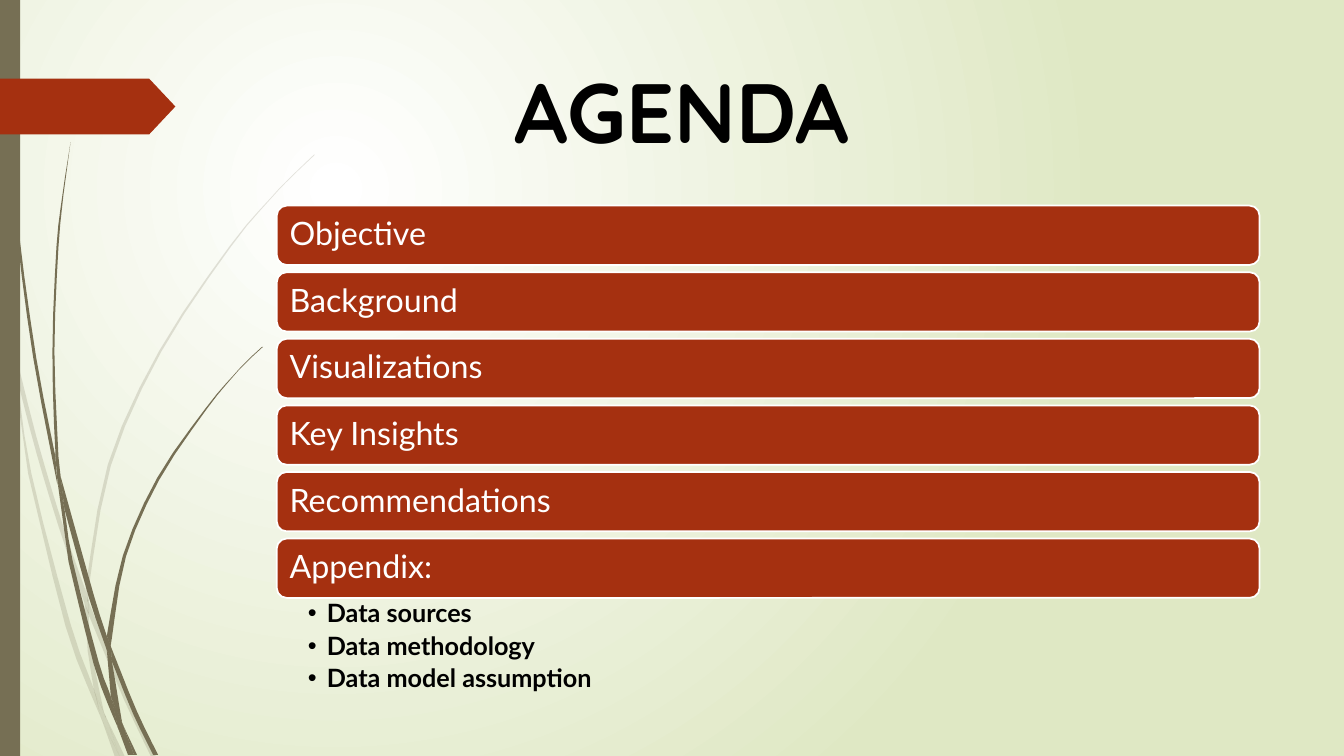
import pptx
import pptx.dml.color
import pptx.enum.shapes
import pptx.enum.text
import pptx.oxml
import pptx.oxml.ns
import pptx.util

Pt = pptx.util.Pt
SHAPES = pptx.enum.shapes.MSO_SHAPE
ANCHORS = pptx.enum.text.MSO_ANCHOR
ALIGNMENTS = pptx.enum.text.PP_ALIGN
NAMESPACE = pptx.oxml.ns.nsdecls("a")

COLORS = {
    "olive": "766F54",
    "rust": "A53010",
    "white": "FFFFFF",
    "black": "000000",
    "pale green": "DFE8C4",
}
AGENDA = ["Objective", "Background", "Visualizations", "Key Insights",
          "Recommendations", "Appendix:"]
APPENDIX = ["Data sources", "Data methodology", "Data model assumption"]

# Grass blades: the two sides of each piece, in steps of 0.72 points
GRASS_UNIT = 0.72
FAINT_GRASS = [
    ([(11, 350), (9, 322), (0, 282)], [(0, 299), (10, 344)]),
    ([(17, 376), (36, 449), (58, 522), (84, 599)],
     [(85, 586), (62, 520), (36, 433), (14, 345)]),
    ([(88, 596), (92, 607), (127, 692), (155, 751)],
     [(150, 751), (123, 694), (88, 610)]),
    ([(105, 711), (124, 751)], [(119, 751)]),
    ([(11, 350), (17, 376), (31, 469), (70, 619), (93, 683), (99, 707), (101, 714)],
     [(92, 693), (65, 621), (28, 470)]),
    ([(84, 599), (88, 608), (88, 610), (91, 646), (103, 706), (105, 711)],
     [(96, 692), (93, 683), (87, 646)]),
    ([(312, 153), (289, 175), (268, 197), (228, 244), (158, 348), (107, 461), (85, 584)],
     [(88, 596), (88, 584), (110, 462), (160, 349), (229, 245), (268, 198),
      (290, 175), (312, 154)]),
    ([(101, 714), (119, 751)], [(114, 751)]),
    ([(85, 586), (88, 596), (88, 610)], [(84, 599)]),
    ([(93, 683), (96, 692), (105, 711), (119, 751)], [(101, 714), (99, 707)]),
]
DARK_GRASS = [
    ([(3, 0), (4, 48), (7, 110), (17, 233), (33, 355), (57, 481)],
     [(55, 453), (36, 355), (19, 232), (8, 109), (5, 48), (4, 0)]),
    ([(60, 472), (93, 590), (106, 631)], [(106, 645), (88, 592), (64, 505)]),
    ([(110, 641), (113, 649), (136, 706), (157, 749)],
     [(152, 749), (132, 708), (111, 656)]),
    ([(57, 477), (64, 505), (72, 556), (98, 657), (110, 691), (117, 722)],
     [(111, 708), (93, 659), (68, 557)]),
    ([(70, 141), (62, 193), (56, 245), (52, 349), (55, 449), (60, 472)],
     [(58, 453), (54, 349), (58, 245), (63, 193)]),
    ([(122, 719), (136, 749)], [(133, 749)]),
    ([(55, 449), (60, 472), (64, 505)], [(57, 477), (55, 453)]),
    ([(260, 344), (245, 358), (231, 373), (204, 405), (156, 474), (122, 551), (106, 631)],
     [(110, 641), (111, 633), (125, 552), (158, 476), (205, 406), (231, 374),
      (245, 359), (261, 344)]),
    ([(117, 722), (131, 749)], [(127, 749)]),
    ([(106, 645), (109, 651), (111, 656), (121, 716), (122, 719)],
     [(116, 706), (110, 691)]),
    ([(106, 631), (110, 641), (111, 656)], [(106, 645)]),
    ([(110, 691), (122, 719), (133, 749)], [(130, 749), (117, 722)]),
]
BAR_LEFT, BAR_TOP, BAR_WIDTH, BAR_HEIGHT, BAR_PITCH = 197.7, 146.9, 702, 42.4, 47.56


def color(name):
    return pptx.dml.color.RGBColor.from_string(COLORS[name])


def paint_background(slide):
    """Fill the slide with a circular gradient centred in its upper left."""
    fill = slide.background.fill
    fill.gradient()
    for stop, name, position in zip(fill.gradient_stops, ("white", "pale green"), (0, 1)):
        stop.color.rgb = color(name)
        stop.position = position
    gradient = slide.element.xpath(".//p:bg//a:gradFill")[0]
    for linear in gradient.xpath("a:lin"):
        gradient.remove(linear)
    gradient.append(pptx.oxml.parse_xml(
        f'<a:path {NAMESPACE} path="circle">'
        '<a:fillToRect l="50000" t="50000" r="100000" b="100000"/></a:path>'))


def style_shape(shape, fill_name, line_name=None):
    shape.shadow.inherit = False
    shape.fill.solid()
    shape.fill.fore_color.rgb = color(fill_name)
    if line_name:
        shape.line.color.rgb = color(line_name)
        shape.line.width = Pt(1.25)
    else:
        shape.line.fill.background()


def add_block(slide, kind, left, top, width, height, fill_name, line_name=None):
    shape = slide.shapes.add_shape(kind, Pt(left), Pt(top), Pt(width), Pt(height))
    style_shape(shape, fill_name, line_name)
    return shape


def smooth_curve(points, steps=3):
    """Return points along a Catmull-Rom curve through the given points."""
    padded = [points[0], *points, points[-1]]
    curve = []
    for a, b, c, d in zip(padded, padded[1:], padded[2:], padded[3:]):
        for step in range(steps):
            t = step / steps
            curve.append(tuple(
                q + t * (r - p) / 2 + t * t * (2 * p - 5 * q + 4 * r - s) / 2
                + t ** 3 * (3 * q - p - 3 * r + s) / 2
                for p, q, r, s in zip(a, b, c, d)))
    return curve + [points[-1]]


def add_blade(slide, sides, opacity=100):
    precision = 10  # the builder rounds to whole units
    outline = [(x * precision, y * precision)
               for side in sides for x, y in smooth_curve(side)]
    builder = slide.shapes.build_freeform(*outline[0], scale=Pt(GRASS_UNIT) / precision)
    builder.add_line_segments(outline[1:], close=True)
    blade = builder.convert_to_shape()
    style_shape(blade, "olive")
    if opacity < 100:
        blade.element.xpath("p:spPr/a:solidFill/a:srgbClr")[0].append(
            pptx.oxml.parse_xml(f'<a:alpha {NAMESPACE} val="{opacity * 1000}"/>'))


def set_margins(text_frame, left, top, right, bottom):
    text_frame.margin_left, text_frame.margin_top = Pt(left), Pt(top)
    text_frame.margin_right, text_frame.margin_bottom = Pt(right), Pt(bottom)


def write(paragraph, text, font_name, size, color_name, bold=False):
    paragraph.text = text
    paragraph.font.name = font_name
    paragraph.font.size = Pt(size)
    paragraph.font.bold = bold
    paragraph.font.color.rgb = color(color_name)


def write_title(slide, text):
    title = slide.shapes.title
    title.left, title.top, title.width, title.height = Pt(14.4), Pt(38.9), Pt(945.4), Pt(100.8)
    frame = title.text_frame
    frame.auto_size = pptx.enum.text.MSO_AUTO_SIZE.NONE
    frame.vertical_anchor = ANCHORS.TOP
    write(frame.paragraphs[0], text, "Quicksand", 60, "black", bold=True)
    frame.paragraphs[0].alignment = ALIGNMENTS.CENTER


def add_agenda_bar(slide, top, text):
    bar = add_block(slide, SHAPES.ROUNDED_RECTANGLE, BAR_LEFT, top, BAR_WIDTH,
                    BAR_HEIGHT, "rust", "white")
    frame = bar.text_frame
    set_margins(frame, 7.2, 7.2, 7.2, 7.2)
    frame.vertical_anchor = ANCHORS.MIDDLE
    paragraph = frame.paragraphs[0]
    write(paragraph, text, "Lato", 23, "white")
    paragraph.alignment = ALIGNMENTS.LEFT
    paragraph.line_spacing = 0.9


def add_bullets(slide, top, items):
    box = slide.shapes.add_textbox(Pt(BAR_LEFT), Pt(top), Pt(BAR_WIDTH), Pt(71.3))
    frame = box.text_frame
    frame.word_wrap = True
    set_margins(frame, 22.3, 2.2, 13, 2.2)
    for index, item in enumerate(items):
        paragraph = frame.add_paragraph() if index else frame.paragraphs[0]
        write(paragraph, item, "Lato", 18, "black", bold=True)
        paragraph.level = 1
        paragraph.line_spacing = 0.9
        paragraph.space_after = Pt(3.6)
        properties = paragraph._p.get_or_add_pPr()
        properties.set("marL", str(Pt(13.5)))
        properties.set("indent", str(-Pt(13.5)))
        for bullet in ('buFont {} typeface="Arial"', 'buChar {} char="•"'):
            properties.insert_element_before(
                pptx.oxml.parse_xml(f"<a:{bullet.format(NAMESPACE)}/>"), "a:defRPr")


def main():
    presentation = pptx.Presentation()
    presentation.slide_width, presentation.slide_height = Pt(960), Pt(540)
    slide = presentation.slides.add_slide(presentation.slide_layouts[5])
    paint_background(slide)
    for grass, opacity in ((FAINT_GRASS, 20), (DARK_GRASS, 100)):
        for sides in grass:
            add_blade(slide, sides, opacity)
    add_block(slide, SHAPES.RECTANGLE, 0, 0, 14.4, 540, "olive")
    tag = add_block(slide, SHAPES.PENTAGON, 0, 56.2, 125.3, 39.8, "rust")
    tag.adjustments[0] = 0.47
    write_title(slide, "AGENDA")
    for index, text in enumerate(AGENDA):
        add_agenda_bar(slide, BAR_TOP + index * BAR_PITCH, text)
    add_bullets(slide, BAR_TOP + (len(AGENDA) - 1) * BAR_PITCH + BAR_HEIGHT, APPENDIX)
    presentation.save("out.pptx")


if __name__ == "__main__":
    main()
